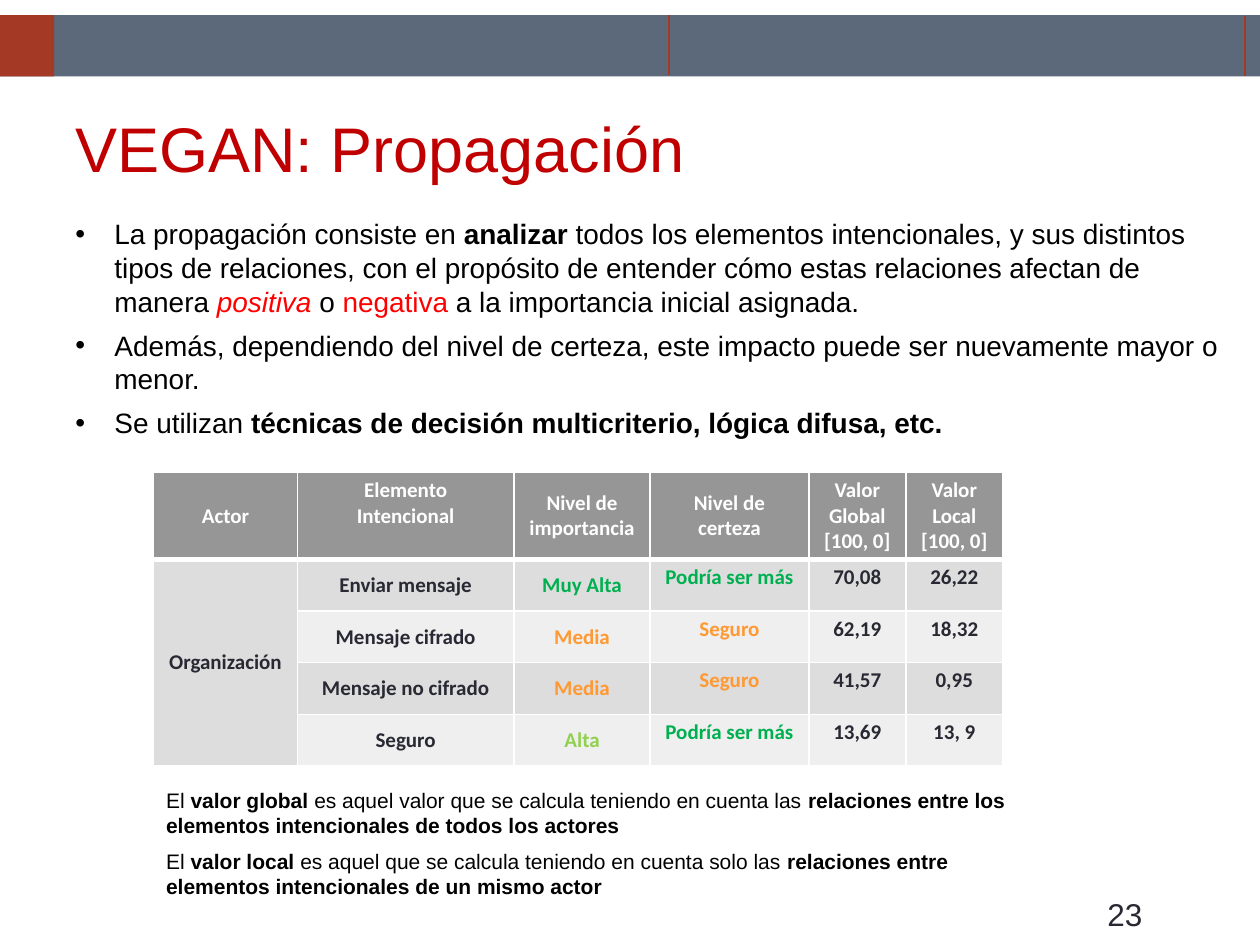
from lxml.etree import SubElement
from pptx import Presentation
from pptx.dml.color import RGBColor
from pptx.enum.shapes import MSO_CONNECTOR, MSO_SHAPE
from pptx.enum.text import MSO_ANCHOR, PP_ALIGN
from pptx.oxml.ns import qn
from pptx.util import Inches, Pt

COLORS = {
    "bar": "5C697B", "accent": "A43925", "title": "C00000", "red": "FF0000",
    "black": "000000", "dark": "292934", "white": "FFFFFF", "header": "969696",
    "odd": "DDDDDD", "even": "EFEFEF",
    "green": "00B050", "orange": "FF9933", "lime": "92D050",
}
LEVELS = {"Muy Alta": "green", "Podría ser más": "green", "Alta": "lime",
          "Media": "orange", "Seguro": "orange"}
WIDTH, HEIGHT = 10, 7.5


def rgb(name):
    return RGBColor.from_string(COLORS[name])


def add_text(p, text, size=16, font="Arial", color="black", bold=False, italic=False):
    r = p.add_run()
    r.text = text
    r.font.size, r.font.name = Pt(size), font
    r.font.bold, r.font.italic = bold, italic
    r.font.color.rgb = rgb(color)


def add_bullet(p, indent=0.31):
    pPr = p._p.get_or_add_pPr()
    pPr.set("marL", str(Inches(indent)))
    pPr.set("indent", str(-Inches(indent)))
    SubElement(pPr, qn("a:buFont"), typeface="Arial")
    SubElement(pPr, qn("a:buChar"), char="•")


def set_borders(cell, **widths):
    """Draw white borders; widths are points keyed by L, R, T and B."""
    tcPr = cell._tc.get_or_add_tcPr()
    for i, (side, width) in enumerate(widths.items()):
        ln = tcPr.makeelement(qn(f"a:ln{side}"), {"w": str(Pt(width))})
        fill = SubElement(ln, qn("a:solidFill"))
        SubElement(fill, qn("a:srgbClr"), val=COLORS["white"])
        tcPr.insert(i, ln)


class Deck:
    """Holds the style and the current slide; lengths are shares of its size."""

    def __init__(self):
        self.prs = Presentation()
        self.prs.slide_width, self.prs.slide_height = Inches(WIDTH), Inches(HEIGHT)
        self.s = self.prs.slides.add_slide(self.prs.slide_layouts[6])

    def box(self, x, y, w, h):
        W, H = self.prs.slide_width, self.prs.slide_height
        return int(x * W), int(y * H), int(w * W), int(h * H)

    def rect(self, area, color):
        sp = self.s.shapes.add_shape(MSO_SHAPE.RECTANGLE, *self.box(*area))
        sp.shadow.inherit = False
        sp.fill.solid()
        sp.fill.fore_color.rgb = rgb(color)
        sp.line.fill.background()

    def vline(self, x, y, h, color):
        left, top, _, height = self.box(x, y, 0, h)
        line = self.s.shapes.add_connector(
            MSO_CONNECTOR.STRAIGHT, left, top, left, top + height)
        line.line.color.rgb, line.line.width = rgb(color), Pt(1.5)
        SubElement(line._element.spPr, qn("a:effectLst"))

    def text(self, area, paragraphs, anchor=MSO_ANCHOR.TOP, before=0, bullet=False,
             spacing=None, **style):
        """Each paragraph is a list of (text, format) runs."""
        tf = self.s.shapes.add_textbox(*self.box(*area)).text_frame
        tf.word_wrap, tf.vertical_anchor = True, anchor
        for i, runs in enumerate(paragraphs):
            p = tf.add_paragraph() if i else tf.paragraphs[0]
            p.space_before = Pt(before)
            if spacing:
                p.line_spacing = spacing
            if bullet:
                add_bullet(p)
            for text, fmt in runs:
                add_text(p, text, **{**style, **fmt})

    def cell(self, cell, text, fill, color, anchor, **borders):
        cell.fill.solid()
        cell.fill.fore_color.rgb = rgb(fill)
        cell.vertical_anchor = anchor
        cell.margin_top = cell.margin_bottom = Inches(0.04)
        tf = cell.text_frame
        for i, line in enumerate(text.split("\n")):
            p = tf.add_paragraph() if i else tf.paragraphs[0]
            p.alignment = PP_ALIGN.CENTER
            if line:
                add_text(p, line, size=12, font="Calibri", color=color, bold=True)
        set_borders(cell, **borders)

    def table(self, area, widths, heights, header, group, rows):
        """Build a table whose first column is one merged cell below the header."""
        tb = self.s.shapes.add_table(
            len(rows) + 1, len(header), *self.box(*area)).table
        for col, width in zip(tb.columns, widths):
            col.width = Inches(width)
        for row, height in zip(tb.rows, heights):
            row.height = Inches(height)
        for c, text in enumerate(header):
            anchor = MSO_ANCHOR.TOP if c == 1 else MSO_ANCHOR.MIDDLE
            self.cell(tb.cell(0, c), text, "header", "white", anchor,
                      L=1, R=1, T=1, B=3)
        for n, values in enumerate(rows, 1):
            fill = "odd" if n % 2 else "even"
            for c, text in enumerate([group if n == 1 else "", *values]):
                color = LEVELS.get(text, "dark") if c in (2, 3) else "dark"
                anchor = MSO_ANCHOR.MIDDLE if c < 3 else MSO_ANCHOR.TOP
                self.cell(tb.cell(n, c), text, fill if c else "odd", color, anchor,
                          L=1, R=1, T=3 if n == 1 else 1, B=1)
        tb.cell(1, 0).merge(tb.cell(len(rows), 0))


def main():
    plain, bold, red = {}, {"bold": True}, {"color": "red"}
    deck = Deck()
    deck.rect((0, 0.016, 1, 0.065), "bar")
    deck.rect((0, 0.016, 0.043, 0.065), "accent")
    for x, y in ((0.531, 0.016), (0.988, 0.017)):
        deck.vline(x, y, 0.063, "accent")

    deck.text((0.05, 0.09, 0.9, 0.132), [[("VEGAN: Propagación", plain)]],
              anchor=MSO_ANCHOR.MIDDLE, size=36, color="title")
    deck.text((0.869, 0.941, 0.117, 0.048), [[("23", plain)]], size=18, color="dark")
    deck.text((0.05, 0.223, 0.935, 0.25), [
        [("La propagación consiste en ", plain), ("analizar", bold),
         (" todos los elementos intencionales, y sus distintos tipos de relaciones, "
          "con el propósito de entender cómo estas relaciones afectan de manera ", plain),
         ("positiva", {**red, "italic": True}), (" o ", plain), ("negativa", red),
         (" a la importancia inicial asignada.", plain)],
        [("Además, dependiendo del nivel de certeza, este impacto puede ser "
          "nuevamente mayor o menor.", plain)],
        [("Se utilizan ", plain),
         ("técnicas de decisión multicriterio, lógica difusa, etc.", bold)],
    ], before=6, bullet=True)

    deck.table(
        (0.122, 0.5, 0.673, 0.309),
        widths=[1.14, 1.72, 1.08, 1.26, 0.77, 0.77],
        heights=[0.69] + [0.41] * 4,
        header=["Actor", "Elemento\nIntencional", "Nivel de\nimportancia",
                "Nivel de\ncerteza", "Valor\nGlobal\n[100, 0]", "Valor\nLocal\n[100, 0]"],
        group="Organización",
        rows=[("Enviar mensaje", "Muy Alta", "Podría ser más", "70,08", "26,22"),
              ("Mensaje cifrado", "Media", "Seguro", "62,19", "18,32"),
              ("Mensaje no cifrado", "Media", "Seguro", "41,57", "0,95"),
              ("Seguro", "Alta", "Podría ser más", "13,69", "13, 9")])

    deck.text((0.122, 0.827, 0.71, 0.132), [
        [("El ", plain), ("valor global ", bold),
         ("es aquel valor que se calcula teniendo en cuenta las ", plain),
         ("relaciones entre los elementos intencionales de todos los actores", bold)],
        [("El ", plain), ("valor local ", bold),
         ("es aquel que se calcula teniendo en cuenta solo las", plain),
         (" relaciones entre elementos intencionales de un mismo actor", bold)],
    ], before=6, size=12)
    deck.prs.save("out.pptx")


if __name__ == "__main__":
    main()
